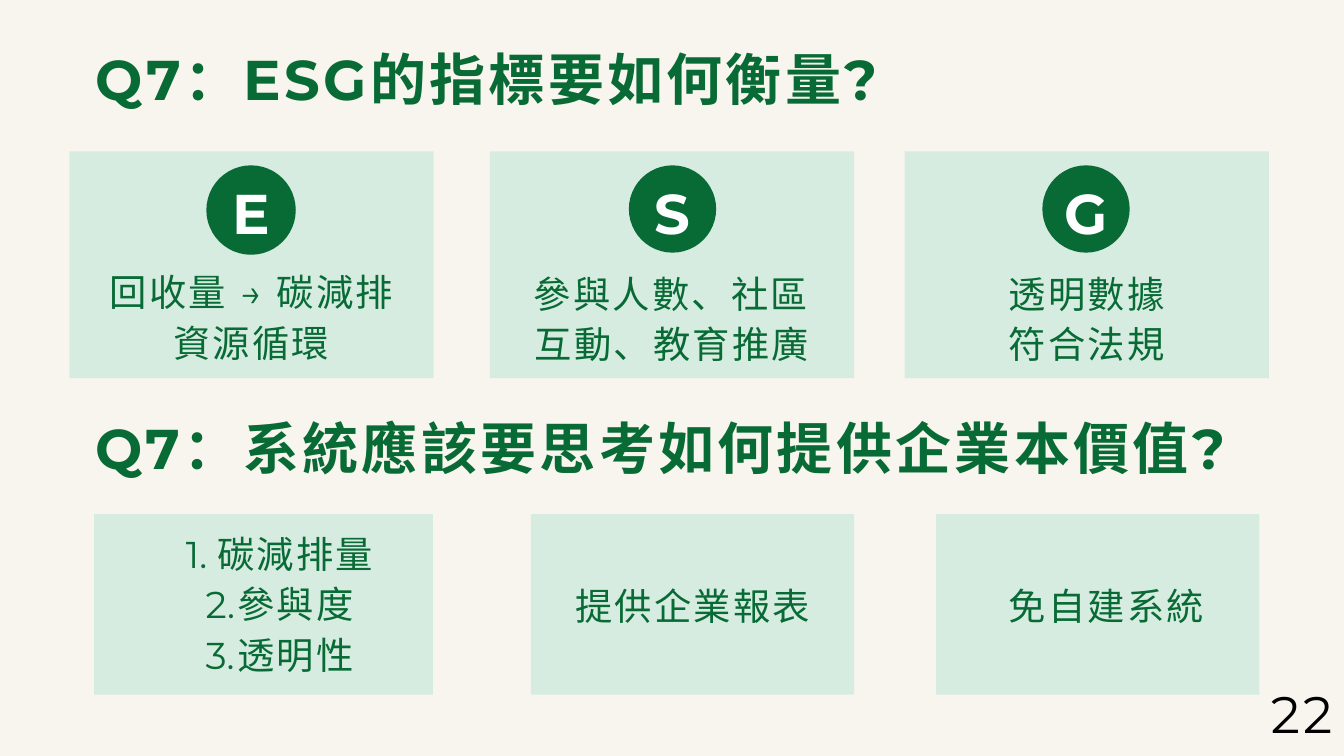
"""Build the slide on measuring ESG indicators and the value offered to companies."""
from lxml import etree
from pptx import Presentation
from pptx.dml.color import RGBColor
from pptx.enum import shapes, text
from pptx.oxml.ns import qn
from pptx.util import Cm, Pt

CREAM = RGBColor(0xF8, 0xF5, 0xEE)
MINT = RGBColor(0xD7, 0xEC, 0xE1)
GREEN = RGBColor(0x08, 0x6A, 0x35)
WHITE = RGBColor(0xFF, 0xFF, 0xFF)
BLACK = RGBColor(0, 0, 0)
FONT = "Montserrat"

HEADINGS = [
    ("Q7：ESG的指標要如何衡量? ", (3.56, 1.37, 30.4, 2.74)),
    ("Q7：系統應該要思考如何提供企業本價值? ", (3.56, 15.32, 43.54, 2.79)),
]
PILLARS = [
    {"letter": "E", "lines": ["回收量 → 碳減排", "資源循環"],
     "left": 2.62, "circle": (7.8, 3.38), "text_top": 9.98, "inset": 0},
    {"letter": "S", "lines": ["參與人數、社區互動、教育推廣"],
     "left": 18.52, "circle": (23.77, 3.3), "text_top": 10.03, "inset": 1.22},
    {"letter": "G", "lines": ["透明數據", "符合法規"],
     "left": 34.19, "circle": (39.4, 3.3), "text_top": 10.03, "inset": 0},
]
VALUES = [
    {"lines": ["碳減排量", "參與度", "透明性"], "card": (3.56, 12.8),
     "text": (4.06, 19.86, 11.81, 5.59), "numbered": True},
    {"lines": ["提供企業報表"], "card": (20.07, 12.22),
     "text": (20.07, 21.84, 12.22, 1.83), "numbered": False},
    {"lines": ["免自建系統"], "card": (35.38, 12.22),
     "text": (35.71, 21.84, 12.22, 1.83), "numbered": False},
]
PAGE_NUMBER = "22"
PILLAR_TOP, PILLAR_WIDTH, PILLAR_HEIGHT = 5.72, 13.77, 8.57
VALUE_TOP, VALUE_HEIGHT = 19.43, 6.83
CIRCLE_TOP, LETTER_TOP = 6.25, 6.43


def add_filled(slide, kind, box, color):
    shape = slide.shapes.add_shape(kind, *map(Cm, box))
    shape.shadow.inherit = False
    shape.fill.solid()
    shape.fill.fore_color.rgb = color
    shape.line.fill.background()


def number_paragraph(paragraph):
    properties = paragraph._p.get_or_add_pPr()
    properties.set("marL", str(Cm(2.39)))
    properties.set("indent", str(-Cm(1.19)))
    paragraph.level = 1
    etree.SubElement(properties, qn("a:buAutoNum"), type="arabicPeriod")


def add_text(slide, lines, box, size=40, spacing=54, color=GREEN, bold=False, numbered=False):
    frame = slide.shapes.add_textbox(*map(Cm, box)).text_frame
    frame.margin_left = frame.margin_right = frame.margin_top = frame.margin_bottom = 0
    frame.word_wrap = True
    frame.auto_size = text.MSO_AUTO_SIZE.SHAPE_TO_FIT_TEXT
    frame.text = "\n".join(lines)
    for paragraph in frame.paragraphs:
        paragraph.alignment = text.PP_ALIGN.CENTER
        paragraph.line_spacing = Pt(spacing)
        if numbered:
            number_paragraph(paragraph)
        font = paragraph.font
        font.name, font.size, font.bold = FONT, Pt(size), bold
        font.color.rgb = color
        character_properties = paragraph._p.pPr.find(qn("a:defRPr"))
        character_properties.set("spc", str(size * 6))
        etree.SubElement(character_properties, qn("a:ea"), typeface=FONT)


def main():
    presentation = Presentation()
    presentation.slide_width, presentation.slide_height = Cm(50.8), Cm(28.575)
    slide = presentation.slides.add_slide(presentation.slide_layouts[6])
    slide.background.fill.solid()
    slide.background.fill.fore_color.rgb = CREAM
    rectangle, oval = shapes.MSO_SHAPE.RECTANGLE, shapes.MSO_SHAPE.OVAL

    for heading, box in HEADINGS:
        add_text(slide, [heading], box, size=60, spacing=81, bold=True)

    for pillar in PILLARS:
        left, inset = pillar["left"], pillar["inset"]
        circle_left, diameter = pillar["circle"]
        add_filled(slide, rectangle, (left, PILLAR_TOP, PILLAR_WIDTH, PILLAR_HEIGHT), MINT)
        add_filled(slide, oval, (circle_left, CIRCLE_TOP, diameter, diameter), GREEN)
        add_text(slide, pillar["lines"],
                 (left + inset, pillar["text_top"], PILLAR_WIDTH - 2 * inset, 3.68))
        add_text(slide, [pillar["letter"]], (circle_left, LETTER_TOP, diameter, 2.77),
                 size=60, spacing=81, color=WHITE, bold=True)

    for value in VALUES:
        left, width = value["card"]
        add_filled(slide, rectangle, (left, VALUE_TOP, width, VALUE_HEIGHT), MINT)
        add_text(slide, value["lines"], value["text"], numbered=value["numbered"])

    add_text(slide, [PAGE_NUMBER], (47.6, 25.48, 3.2, 2.54), size=55, spacing=74.2, color=BLACK)
    presentation.save("out.pptx")


if __name__ == "__main__":
    main()
